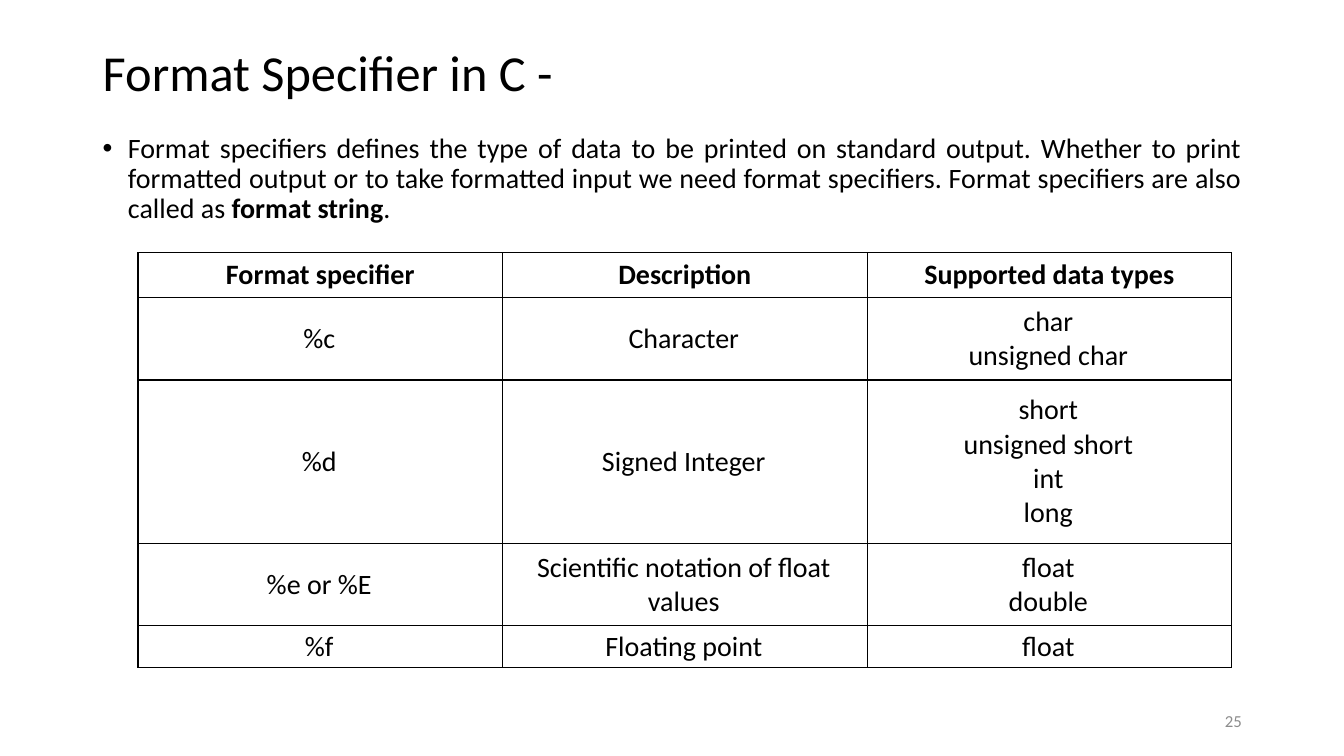
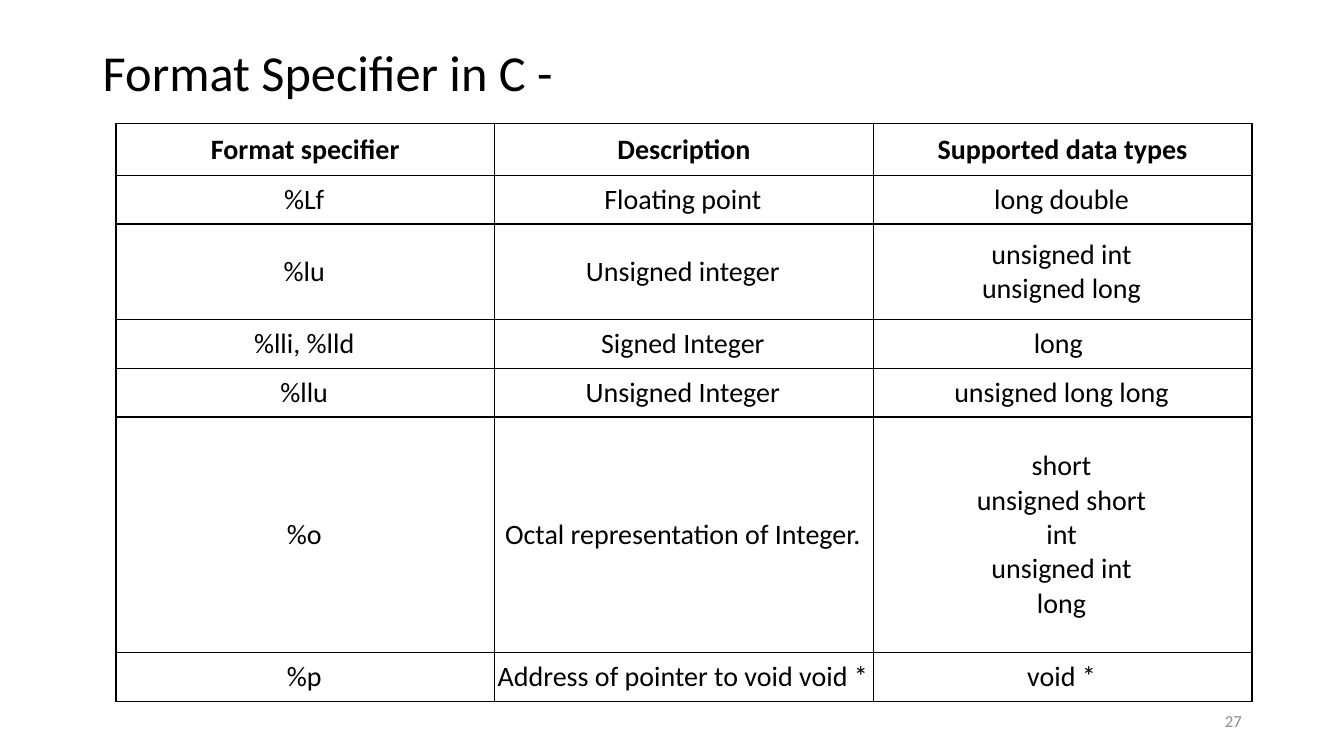
from dataclasses import dataclass

from lxml.etree import SubElement
from pptx import Presentation
from pptx.dml.color import RGBColor
from pptx.enum.text import MSO_ANCHOR, MSO_AUTO_SIZE, PP_ALIGN
from pptx.oxml.ns import qn
from pptx.util import Pt


@dataclass(frozen=True)
class Theme:
    """Colours, font and type sizes of the deck."""
    face: str = "Calibri"
    ink: str = "000000"
    grey: str = "8C8C8C"
    title: float = 36
    text: float = 20
    small: float = 12
    rule: float = 1


THEME = Theme()
TITLE = "Format Specifier in C -"
HEAD = ("Format specifier", "Description", "Supported data types")
HEAD_PAD = (4.3, 1.4, 4.3, 1.4)
CELL_PAD = (1.4, 0.7, 2.9, 0.7)
INTRO = (
    ("Format specifiers defines the type of data to be printed on standard "
     "output. Whether to print formatted output or to take formatted input "
     "we need format specifiers. Format specifiers are also called as ", False),
    ("format string", True),
    (".", False),
)
BASIC = (
    ("%c", "Character", "char\nunsigned char"),
    ("%d", "Signed Integer", "short\nunsigned short\nint\nlong"),
    ("%e or %E", "Scientific notation of float values", "float\ndouble"),
    ("%f", "Floating point", "float"),
)
MORE = (
    ("%Lf", "Floating point", "long double"),
    ("%lu", "Unsigned integer", "unsigned int\nunsigned long"),
    ("%lli, %lld", "Signed Integer", "long "),
    ("%llu", "Unsigned Integer", "unsigned long long"),
    ("%o", "Octal representation of Integer.",
     "short\nunsigned short\nint\nunsigned int\nlong"),
    ("%p", "Address of pointer to void void *", "void *"),
)


def style(para, size, align, color=THEME.ink, bold=False):
    """Set the font and alignment of a paragraph."""
    para.alignment = align
    font = para.font
    font.name, font.size, font.bold = THEME.face, Pt(size), bold
    font.color.rgb = RGBColor.from_string(color)


def place(shape, left, top, width, height):
    """Move and size a shape, in points."""
    shape.left, shape.top = Pt(left), Pt(top)
    shape.width, shape.height = Pt(width), Pt(height)


def add_slide(deck, layout, number):
    """Add a slide with its title and page number."""
    slide = deck.slides.add_slide(deck.slide_layouts.get_by_name(layout))
    title = slide.shapes.title
    place(title, 66.2, 28.8, 828, 50.4)
    frame = title.text_frame
    frame.text = TITLE
    frame.auto_size = MSO_AUTO_SIZE.NONE
    frame.vertical_anchor = MSO_ANCHOR.MIDDLE
    para = frame.paragraphs[0]
    para.line_spacing = 0.9
    style(para, THEME.title, PP_ALIGN.LEFT)

    box = slide.shapes.add_textbox(Pt(678.2), Pt(500.4), Pt(216), Pt(28.8))
    frame = box.text_frame
    frame.word_wrap = True
    frame.vertical_anchor = MSO_ANCHOR.MIDDLE
    frame.text = str(number)
    style(frame.paragraphs[0], THEME.small, PP_ALIGN.RIGHT, THEME.grey)
    return slide


def fill_body(slide, parts):
    """Write one justified bullet into the body placeholder."""
    body = slide.placeholders[1]
    place(body, 66.2, 92.2, 828, 342.7)
    body.text_frame.auto_size = MSO_AUTO_SIZE.NONE
    para = body.text_frame.paragraphs[0]
    para.line_spacing = 0.9
    para.space_before = Pt(0)
    props = para._p.get_or_add_pPr()
    props.set("marL", str(Pt(18)))
    props.set("indent", str(-Pt(18)))
    SubElement(props, qn("a:buFont"), typeface="Arial")
    SubElement(props, qn("a:buChar"), char="•")
    style(para, THEME.text, PP_ALIGN.JUSTIFY)
    for text, bold in parts:
        run = para.add_run()
        run.text = text
        if bold:
            run.font.bold = True


def edge(cell):
    """Draw a solid line on all four sides of a cell."""
    props = cell._tc.get_or_add_tcPr()
    for side in "LRTB":
        line = SubElement(props, qn(f"a:ln{side}"), w=str(Pt(THEME.rule)))
        fill = SubElement(line, qn("a:solidFill"))
        SubElement(fill, qn("a:srgbClr"), val=THEME.ink)


def fill_cell(cell, text, head):
    """Write and format one table cell."""
    edge(cell)
    cell.fill.background()
    cell.vertical_anchor = MSO_ANCHOR.MIDDLE
    pad = [Pt(gap) for gap in (HEAD_PAD if head else CELL_PAD)]
    cell.margin_left, cell.margin_top, cell.margin_right, cell.margin_bottom = pad
    para = cell.text_frame.paragraphs[0]
    para.text = text
    style(para, THEME.text, PP_ALIGN.CENTER, bold=head)


def add_grid(slide, left, top, width, tall, rows):
    """Add a ruled table under the shared heading row."""
    rows = (HEAD, *rows)
    grid = slide.shapes.add_table(len(rows), len(HEAD), Pt(left), Pt(top),
                                  Pt(width), Pt(sum(tall))).table
    grid.first_row = grid.horz_banding = False
    for r, (height, texts) in enumerate(zip(tall, rows)):
        grid.rows[r].height = Pt(height)
        for c, text in enumerate(texts):
            fill_cell(grid.cell(r, c), text, r == 0)


def main():
    """Build and save both slides."""
    deck = Presentation()
    deck.slide_width, deck.slide_height = Pt(960), Pt(540)

    slide = add_slide(deck, "Title and Content", 25)
    fill_body(slide, INTRO)
    add_grid(slide, 98.6, 180.5, 781.2, (32, 59, 116.6, 59, 30), BASIC)

    slide = add_slide(deck, "Title Only", 27)
    add_grid(slide, 82.8, 88.5, 811.5,
             (36.7, 34.8, 68.3, 34.8, 34.8, 168.5, 34.8), MORE)

    deck.save("out.pptx")


if __name__ == "__main__":
    main()
